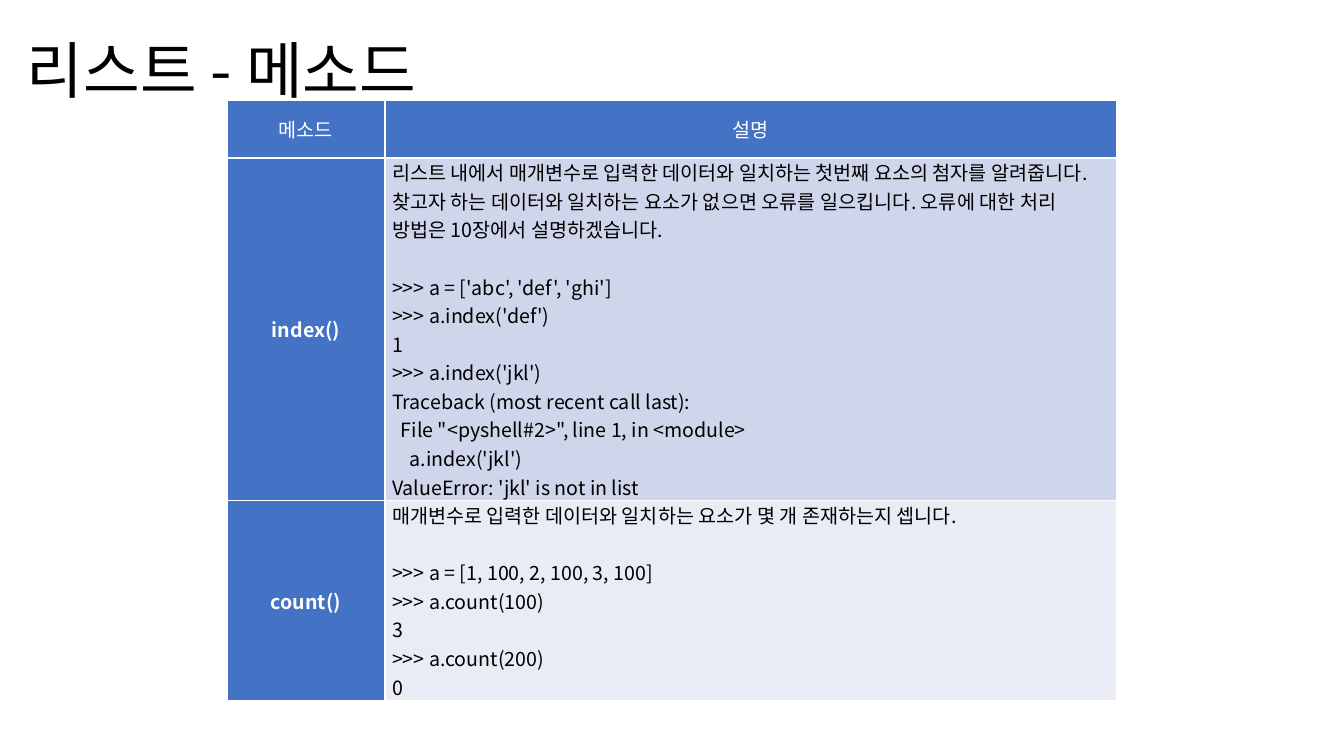
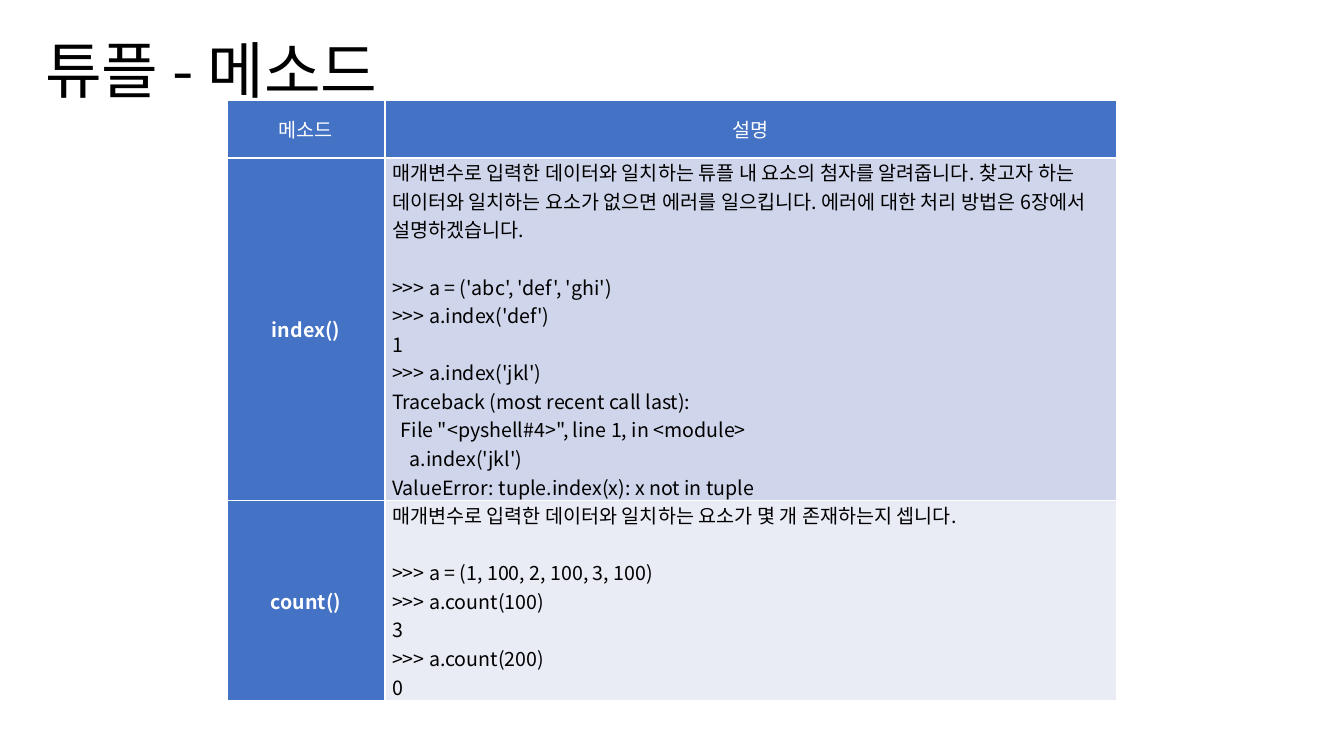
from dataclasses import dataclass
from lxml import etree
from pptx import Presentation, util as u
from pptx.dml.color import RGBColor
from pptx.enum import text
from pptx.oxml.ns import qn


@dataclass(frozen=True)
class Theme:
    font: str = "Noto Sans CJK KR"
    ink: str = "000000"
    white: str = "FFFFFF"
    accent: str = "4472C4"
    bands: tuple = ("CFD5EA", "E9EBF5")
    title_size: int = 44
    table_size: int = 14
    code_gap: float = 20.4
    kerning: str = "1200"


theme = Theme()


def write(frame, lines, size=theme.table_size, color=theme.ink, bold=False,
          align=text.PP_ALIGN.LEFT, line_spacing=1.0, first_gap=0):
    frame.word_wrap = True
    for index, line in enumerate(lines):
        paragraph = frame.paragraphs[0] if index == 0 else frame.add_paragraph()
        paragraph.alignment = align
        paragraph.line_spacing = line_spacing
        paragraph.space_after = u.Pt(0 if index else first_gap)
        run = paragraph.add_run()
        run.text = line
        run.font.name = theme.font
        run.font.size = u.Pt(size)
        run.font.bold = bold
        run.font.color.rgb = RGBColor.from_string(color)
        properties = run.font._element
        properties.set("kern", theme.kerning)
        etree.SubElement(properties, qn("a:ea"), typeface=theme.font)


def style_cell(cell, fill):
    cell.vertical_anchor = text.MSO_ANCHOR.MIDDLE
    cell.margin_left = cell.margin_right = u.Cm(0.18)
    cell.margin_top = cell.margin_bottom = 0
    cell.fill.solid()
    cell.fill.fore_color.rgb = RGBColor.from_string(fill)


pages = [
    dict(
        title="리스트 - 메소드", left=0.43, brackets="[]", shell=2,
        about="리스트 내에서 매개변수로 입력한 데이터와 일치하는 첫번째 요소의 첨자를 알려줍니다. "
              "찾고자 하는 데이터와 일치하는 요소가 없으면 오류를 일으킵니다. "
              "오류에 대한 처리 방법은 10장에서 설명하겠습니다.",
        error="'jkl' is not in list",
    ),
    dict(
        title="튜플 - 메소드", left=0.89, brackets="()", shell=4,
        about="매개변수로 입력한 데이터와 일치하는 튜플 내 요소의 첨자를 알려줍니다. "
              "찾고자 하는 데이터와 일치하는 요소가 없으면 에러를 일으킵니다. "
              "에러에 대한 처리 방법은 6장에서 설명하겠습니다.",
        error="tuple.index(x): x not in tuple",
    ),
]
column_widths = (3.98, 18.45)
row_heights = (1.44, 8.64, 5.04)

presentation = Presentation()
presentation.slide_width = u.Cm(33.87)
presentation.slide_height = u.Cm(19.05)

for page in pages:
    slide = presentation.slides.add_slide(presentation.slide_layouts[6])

    title = slide.shapes.add_textbox(u.Cm(page["left"]), 0, u.Cm(29.21), u.Cm(3.72))
    title.text_frame.vertical_anchor = text.MSO_ANCHOR.MIDDLE
    write(title.text_frame, [page["title"]], size=theme.title_size, line_spacing=0.9)

    table = slide.shapes.add_table(
        len(row_heights), len(column_widths), u.Cm(5.72), u.Cm(2.54),
        u.Cm(sum(column_widths)), u.Cm(sum(row_heights))).table
    for column, width in zip(table.columns, column_widths):
        column.width = u.Cm(width)
    for row, height in zip(table.rows, row_heights):
        row.height = u.Cm(height)

    for column, heading in enumerate(("메소드", "설명")):
        cell = table.cell(0, column)
        style_cell(cell, theme.accent)
        write(cell.text_frame, [heading], color=theme.white, align=text.PP_ALIGN.CENTER)

    opening, closing = page["brackets"]
    methods = {
        "index()": [
            page["about"],
            f">>> a = {opening}'abc', 'def', 'ghi'{closing}",
            ">>> a.index('def')",
            "1",
            ">>> a.index('jkl')",
            "Traceback (most recent call last):",
            f"  File \"<pyshell#{page['shell']}>\", line 1, in <module>",
            "    a.index('jkl')",
            f"ValueError: {page['error']}",
        ],
        "count()": [
            "매개변수로 입력한 데이터와 일치하는 요소가 몇 개 존재하는지 셉니다.",
            f">>> a = {opening}1, 100, 2, 100, 3, 100{closing}",
            ">>> a.count(100)",
            "3",
            ">>> a.count(200)",
            "0",
        ],
    }
    for row, (method, lines) in enumerate(methods.items(), start=1):
        name_cell, description_cell = table.cell(row, 0), table.cell(row, 1)
        style_cell(name_cell, theme.accent)
        write(name_cell.text_frame, [method], color=theme.white, bold=True,
              align=text.PP_ALIGN.CENTER)
        style_cell(description_cell, theme.bands[row - 1])
        write(description_cell.text_frame, lines, first_gap=theme.code_gap)

presentation.save("out.pptx")
